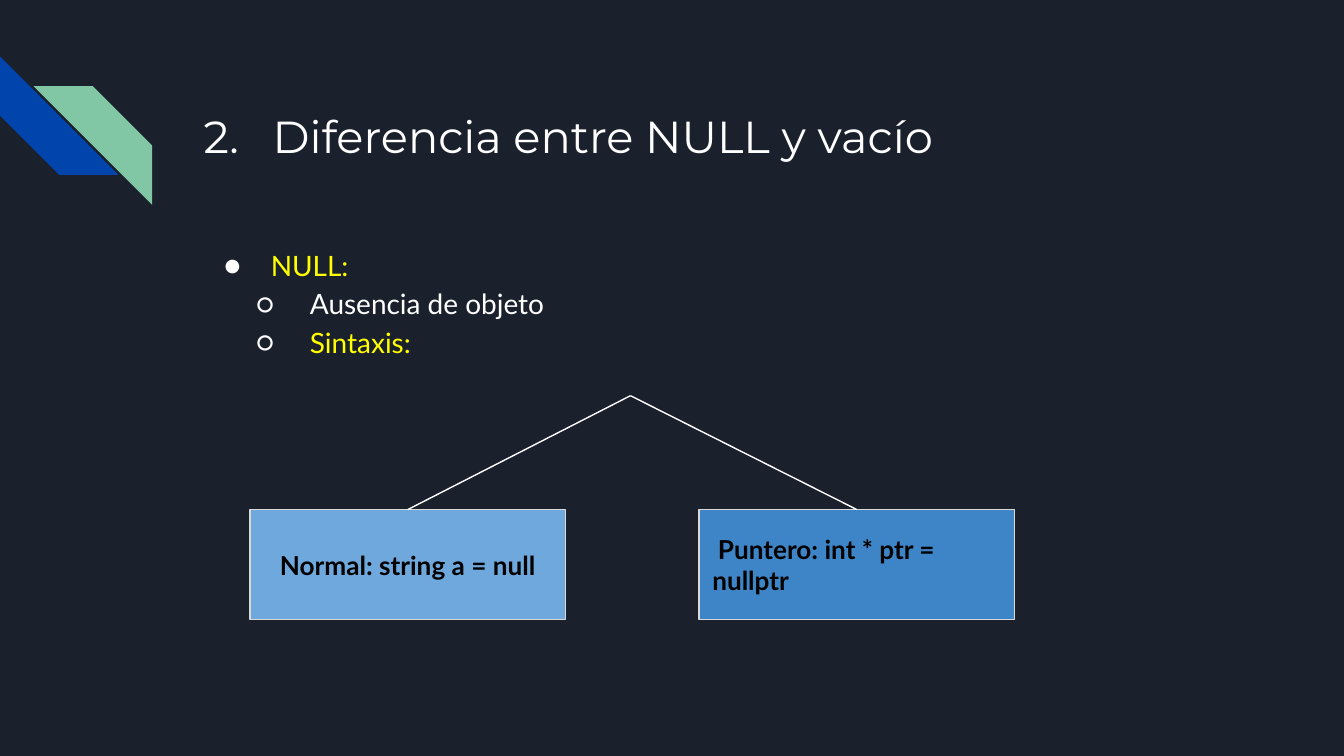
from lxml.etree import SubElement
from pptx import Presentation
from pptx.dml.color import RGBColor
from pptx.enum.shapes import MSO_CONNECTOR, MSO_SHAPE
from pptx.enum.text import MSO_ANCHOR, PP_ALIGN
from pptx.oxml.ns import qn
from pptx.util import Pt

COLORS = {
    "background": "1B212C", "blue": "0145AC", "green": "82C7A5",
    "white": "FFFFFF", "yellow": "FFFF00", "black": "000000",
    "light_box": "6FA8DC", "dark_box": "3D85C6", "border": "D9D9D9",
}
INSET = 7.2


def rgb(name):
    return RGBColor.from_string(COLORS[name])


def add_run(paragraph, text, color, **formats):
    run = paragraph.add_run()
    run.text = text
    for name, value in formats.items():
        setattr(run.font, name, value)
    run.font.color.rgb = rgb(color)


def prepare_frame(shape, anchor):
    frame = shape.text_frame
    formats = {"word_wrap": True, "vertical_anchor": anchor}
    for side in ("left", "top", "right", "bottom"):
        formats[f"margin_{side}"] = Pt(INSET)
    for name, value in formats.items():
        setattr(frame, name, value)
    return frame


def add_text_box(slide, box):
    shape = slide.shapes.add_textbox(*map(Pt, box))
    return prepare_frame(shape, MSO_ANCHOR.TOP)


def set_indent(paragraph, margin, first_line):
    properties = paragraph._p.get_or_add_pPr()
    properties.set("marL", str(Pt(margin)))
    properties.set("indent", str(Pt(first_line)))
    return properties


def add_corner_stripes(slide, box):
    left, top, size = box
    stripes = [(0, 0, 270, "blue"), (18, 16, 90, "green")]
    for offset_x, offset_y, rotation, color in stripes:
        stripe = slide.shapes.add_shape(
            MSO_SHAPE.DIAGONAL_STRIPE, Pt(left + offset_x), Pt(top + offset_y),
            Pt(size), Pt(size))
        stripe.adjustments[0] = 0.5
        stripe.rotation = rotation
        stripe.shadow.inherit = False
        stripe.fill.solid()
        stripe.fill.fore_color.rgb = rgb(color)
        stripe.line.fill.background()


def add_title(slide, box, number, text):
    paragraph = add_text_box(slide, box).paragraphs[0]
    tabs = SubElement(paragraph._p.get_or_add_pPr(), qn("a:tabLst"))
    SubElement(tabs, qn("a:tab"), pos=str(Pt(37)), algn="l")
    add_run(paragraph, f"{number}\t{text}", "white", name="Montserrat", size=Pt(24))


def add_bullets(slide, box, items):
    frame = add_text_box(slide, box)
    indents = [(36, -25), (57, -29)]
    for index, (level, text, color) in enumerate(items):
        paragraph = frame.add_paragraph() if index else frame.paragraphs[0]
        paragraph.level = level
        paragraph.line_spacing = 1.15
        properties = set_indent(paragraph, *indents[level])
        bullet_color = SubElement(properties, qn("a:buClr"))
        SubElement(bullet_color, qn("a:srgbClr"), val=COLORS["white"])
        SubElement(properties, qn("a:buFont"), typeface="Lato")
        SubElement(properties, qn("a:buChar"), char="●○"[level])
        add_run(paragraph, text, color, name="Lato", size=Pt(15))


def add_syntax_box(slide, box, text, fill, alignment, first_line):
    shape = slide.shapes.add_shape(MSO_SHAPE.RECTANGLE, *map(Pt, box))
    shape.shadow.inherit = False
    shape.fill.solid()
    shape.fill.fore_color.rgb = rgb(fill)
    shape.line.color.rgb = rgb("border")
    shape.line.width = Pt(0.75)
    paragraph = prepare_frame(shape, MSO_ANCHOR.MIDDLE).paragraphs[0]
    paragraph.alignment = alignment
    set_indent(paragraph, 0, first_line)
    add_run(paragraph, text, "black", name="Lato", size=Pt(14), bold=True)


def add_branch(slide, start, end):
    branch = slide.shapes.add_connector(
        MSO_CONNECTOR.STRAIGHT, *map(Pt, (*start, *end)))
    branch.line.color.rgb = rgb("white")
    branch.line.width = Pt(0.75)
    SubElement(branch._element.spPr, qn("a:effectLst"))


def add_syntax_tree(slide, box, syntaxes):
    """Draw one box per syntax along the bottom, joined to a common apex."""
    left, top, width, height = box
    box_width, box_height = 169, 59
    step = (width - box_width) / (len(syntaxes) - 1)
    box_top = top + height - box_height
    apex = (left + width / 2 - 1, top)
    for index, syntax in enumerate(syntaxes):
        box_left = left + index * step
        add_syntax_box(slide, (box_left, box_top, box_width, box_height), *syntax)
        add_branch(slide, apex, (box_left + box_width / 2, box_top))


def main():
    presentation = Presentation()
    presentation.slide_width, presentation.slide_height = Pt(720), Pt(405)
    slide = presentation.slides.add_slide(presentation.slide_layouts[6])
    slide.background.fill.solid()
    slide.background.fill.fore_color.rgb = rgb("background")

    add_corner_stripes(slide, (0, 30.2, 63.5))
    add_title(slide, (102, 51, 554.5, 72), "2.", "Diferencia entre NULL y vacío")
    add_bullets(slide, (102, 123, 554.5, 229), [
        (0, "NULL:", "yellow"),
        (1, "Ausencia de objeto", "white"),
        (1, "Sintaxis:", "yellow"),
    ])
    add_syntax_tree(slide, (134, 212, 409.5, 120), [
        ("Normal: string a = null", "light_box", PP_ALIGN.CENTER, 0),
        ("Puntero: int * ptr = nullptr", "dark_box", PP_ALIGN.LEFT, 3),
    ])
    presentation.save("out.pptx")


if __name__ == "__main__":
    main()
